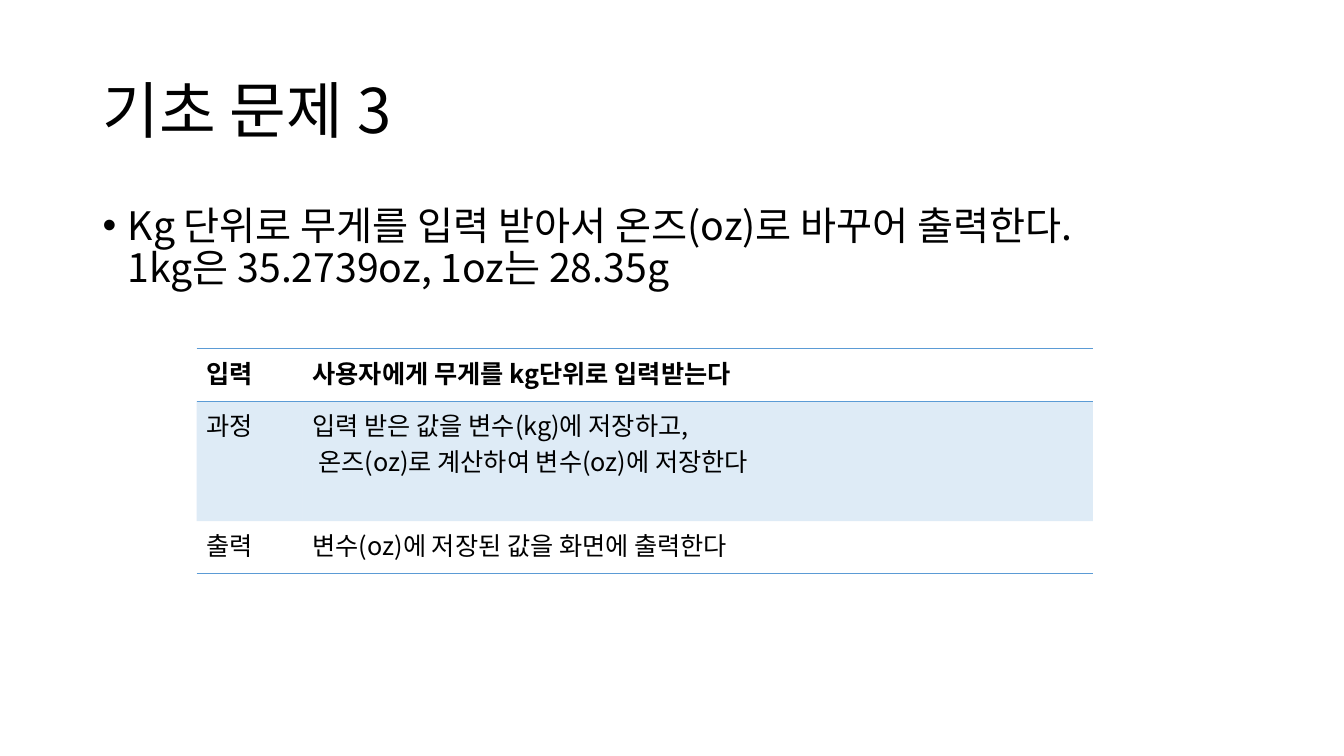
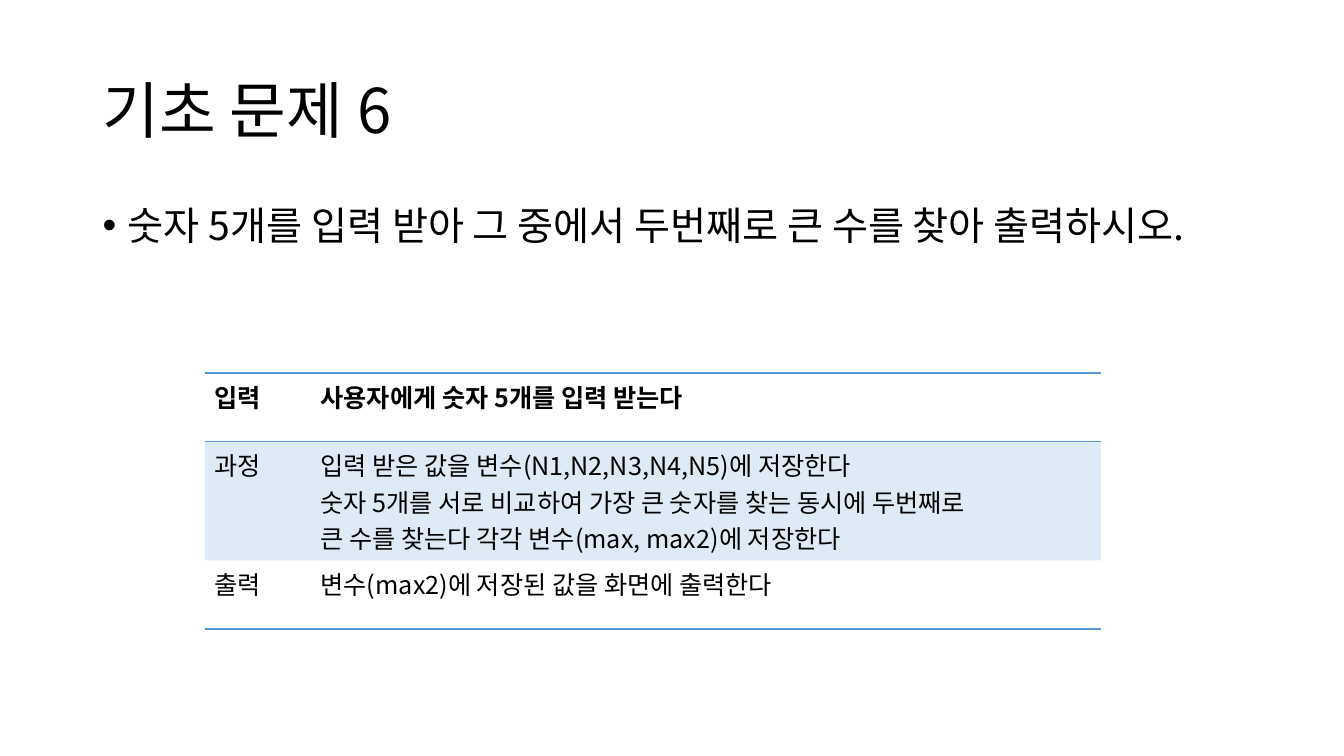
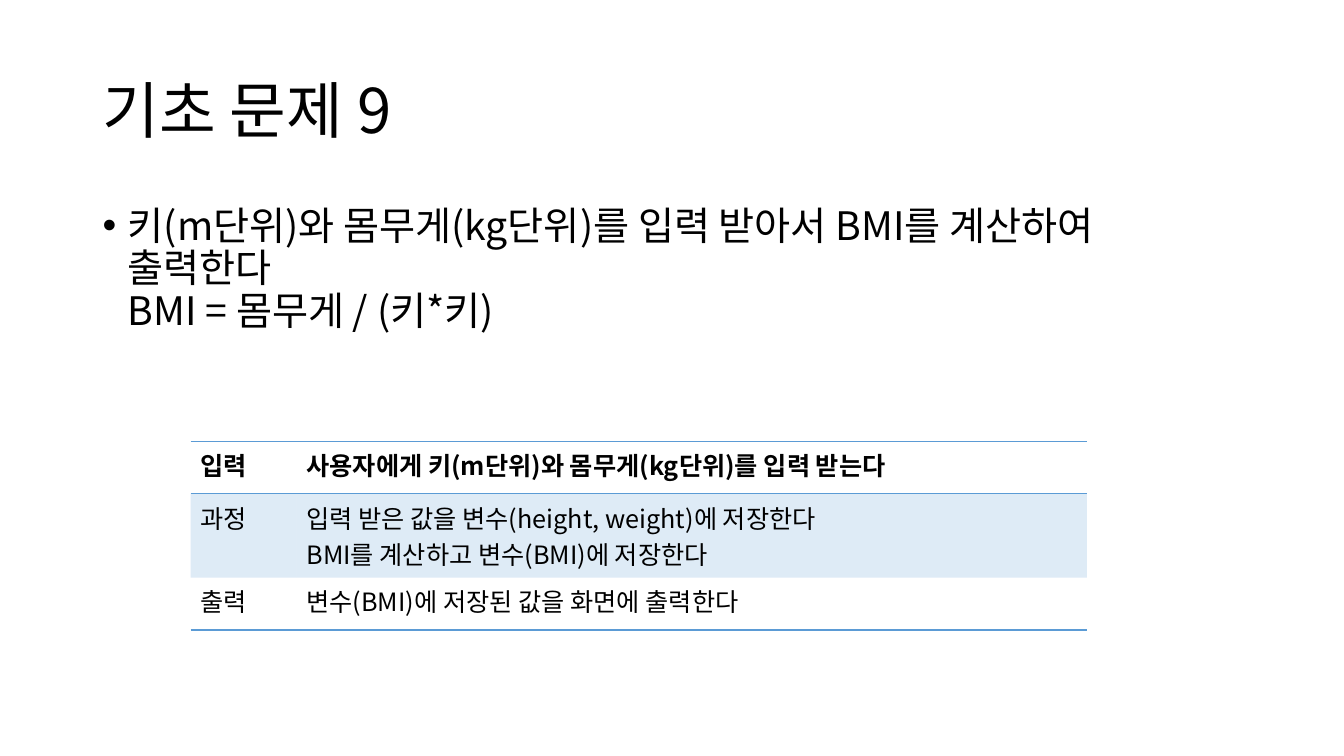
"""Build three exercise slides, each with a task and an input-process-output table."""
from lxml.etree import SubElement
from pptx import Presentation
from pptx.dml.color import RGBColor
from pptx.enum.text import MSO_ANCHOR
from pptx.oxml.ns import qn
from pptx.util import Inches, Pt

FONT = "Noto Sans CJK KR"
COLORS = {"text": "000000", "accent": "5B9BD5"}
NO_STYLE = "{2D5ABB26-0587-4C30-8999-92F81FD0307C}"
STEPS = ["입력", "과정", "출력"]

EXERCISES = [
    {
        "number": 3,
        "task": "Kg 단위로 무게를 입력 받아서 온즈(oz)로 바꾸어 출력한다.\n1kg은 35.2739oz, 1oz는 28.35g",
        "corner": (1.95, 3.46),
        "heights": [0.52, 1.19, 0.52],
        "details": [
            "사용자에게 무게를 kg단위로 입력받는다",
            "입력 받은 값을 변수(kg)에 저장하고,\n 온즈(oz)로 계산하여 변수(oz)에 저장한다",
            "변수(oz)에 저장된 값을 화면에 출력한다",
        ],
    },
    {
        "number": 6,
        "task": "숫자 5개를 입력 받아 그 중에서 두번째로 큰 수를 찾아 출력하시오.",
        "corner": (2.03, 3.7),
        "heights": [0.68, 1.18, 0.68],
        "details": [
            "사용자에게 숫자 5개를 입력 받는다",
            "입력 받은 값을 변수(N1,N2,N3,N4,N5)에 저장한다\n"
            "숫자 5개를 서로 비교하여 가장 큰 숫자를 찾는 동시에 두번째로\n"
            "큰 수를 찾는다 각각 변수(max, max2)에 저장한다",
            "변수(max2)에 저장된 값을 화면에 출력한다",
        ],
    },
    {
        "number": 9,
        "task": "키(m단위)와 몸무게(kg단위)를 입력 받아서 BMI를 계산하여 출력한다\nBMI = 몸무게 / (키*키)",
        "corner": (1.89, 4.38),
        "heights": [0.52, 0.83, 0.52],
        "details": [
            "사용자에게 키(m단위)와 몸무게(kg단위)를 입력 받는다",
            "입력 받은 값을 변수(height, weight)에 저장한다\nBMI를 계산하고 변수(BMI)에 저장한다",
            "변수(BMI)에 저장된 값을 화면에 출력한다",
        ],
    },
]


def style_paragraph(paragraph, size, bold=False):
    font = paragraph.font
    font.size, font.bold, font.name = Pt(size), bold, FONT
    font.color.rgb = RGBColor.from_string(COLORS["text"])
    defaults = paragraph._p.pPr.find(qn("a:defRPr"))
    SubElement(defaults, qn("a:ea"), typeface=FONT)
    return defaults


def add_text(slide, text, top, height, size, anchor):
    box = slide.shapes.add_textbox(Inches(0.92), Inches(top), Inches(11.5), Inches(height))
    frame = box.text_frame
    frame.word_wrap = True
    frame.vertical_anchor = anchor
    paragraph = frame.paragraphs[0]
    paragraph.text = text
    paragraph.line_spacing = 0.9
    return paragraph, style_paragraph(paragraph, size)


presentation = Presentation()
presentation.slide_width = Inches(13.33)
presentation.slide_height = Inches(7.5)

for exercise in EXERCISES:
    slide = presentation.slides.add_slide(presentation.slide_layouts[6])
    add_text(slide, f"기초 문제 {exercise['number']}", 0.4, 1.45, 44, MSO_ANCHOR.MIDDLE)

    task, defaults = add_text(slide, exercise["task"], 2, 4.76, 28, MSO_ANCHOR.TOP)
    task.space_before = Pt(10)
    properties = task._p.pPr
    properties.set("marL", str(Inches(0.25)))
    properties.set("indent", str(Inches(-0.25)))
    SubElement(properties, qn("a:buFont"), typeface="Arial")
    SubElement(properties, qn("a:buChar"), char="•")
    properties.append(defaults)

    left, top = exercise["corner"]
    heights = exercise["heights"]
    table = slide.shapes.add_table(
        3, 2, Inches(left), Inches(top), Inches(8.89), Inches(sum(heights))
    ).table
    table.first_row = table.horz_banding = False
    table._tbl.tblPr.find(qn("a:tableStyleId")).text = NO_STYLE
    for column, width in zip(table.columns, (1.05, 7.84)):
        column.width = Inches(width)

    for row, (step, detail) in enumerate(zip(STEPS, exercise["details"])):
        table.rows[row].height = Inches(heights[row])
        for cell, text in zip(table.rows[row].cells, (step, detail)):
            cell.text = text
            for paragraph in cell.text_frame.paragraphs:
                style_paragraph(paragraph, 18, bold=row == 0)
            cell_properties = cell._tc.get_or_add_tcPr()
            for edge in (("lnT", "lnB"), (), ("lnB",))[row]:
                line = SubElement(cell_properties, qn(f"a:{edge}"), w=str(Pt(1)))
                line_fill = SubElement(line, qn("a:solidFill"))
                SubElement(line_fill, qn("a:srgbClr"), val=COLORS["accent"])
            if row == 1:
                cell.fill.solid()
                cell.fill.fore_color.rgb = RGBColor.from_string(COLORS["accent"])
                accent = cell_properties.find(qn("a:solidFill")).find(qn("a:srgbClr"))
                SubElement(accent, qn("a:alpha"), val="20000")
            else:
                cell.fill.background()

presentation.save("out.pptx")
